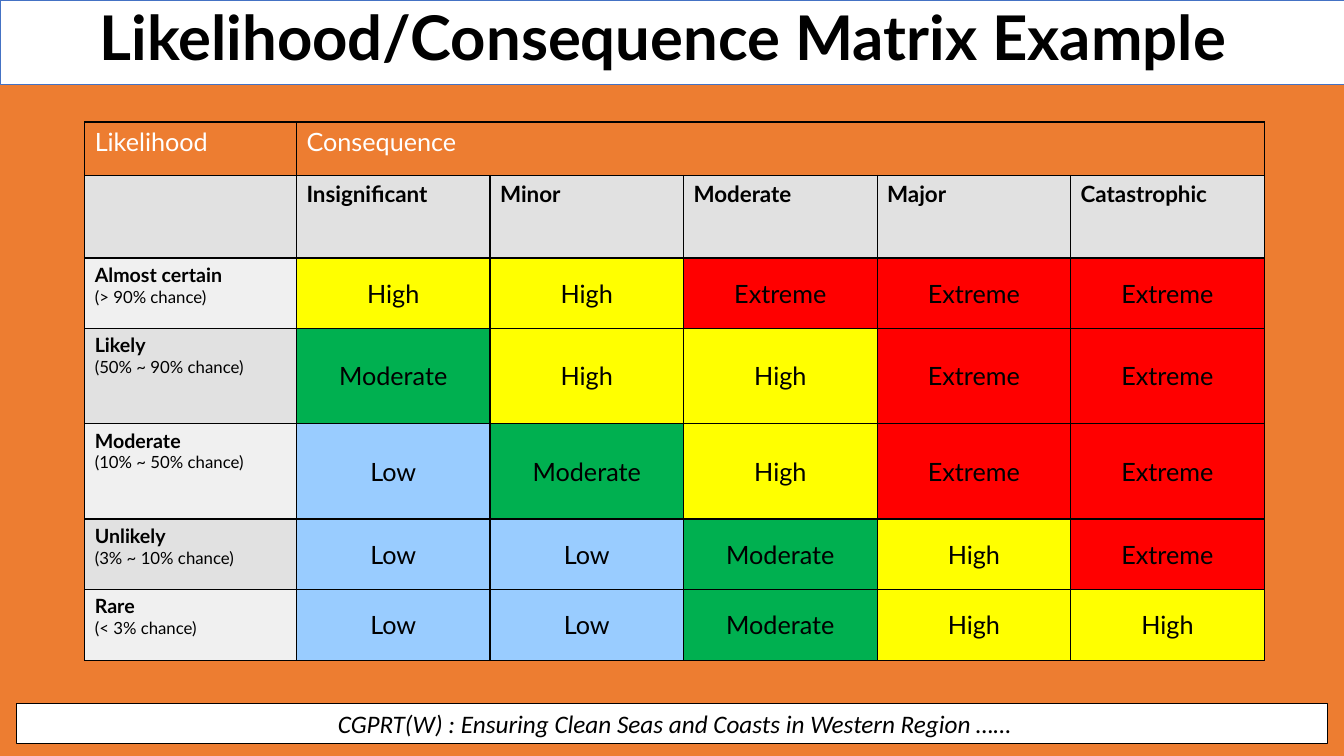
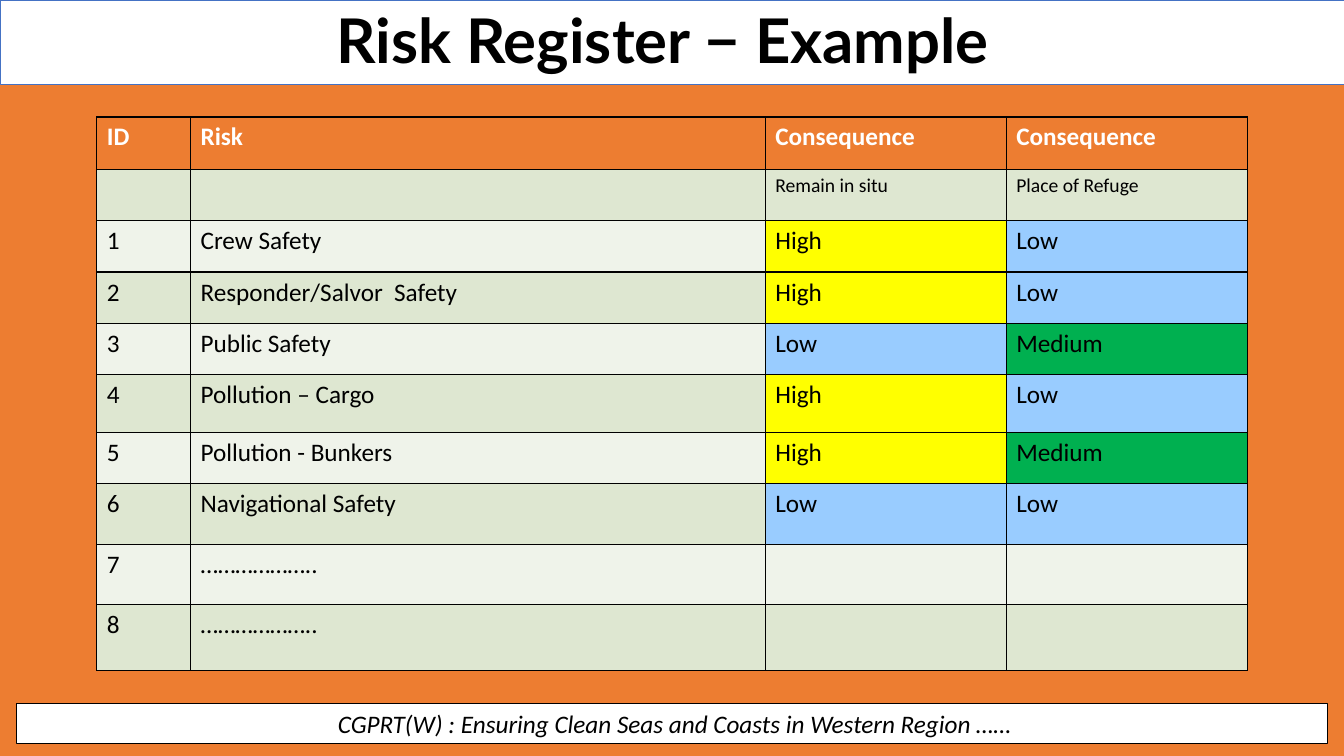
from lxml.etree import SubElement
from pptx import Presentation
from pptx.dml.color import RGBColor
from pptx.enum.shapes import MSO_SHAPE
from pptx.enum.text import MSO_ANCHOR, MSO_AUTO_SIZE, PP_ALIGN
from pptx.oxml.ns import qn
from pptx.util import Inches, Pt

SLIDE_W, SLIDE_H = 13.33, 7.5
TITLE_ONLY = 5
COLORS = {
    "orange": "ED7D31", "white": "FFFFFF", "black": "000000", "blue": "4472C4",
    "gray": "E1E1E1", "light gray": "F0F0F0",
    "green tint": "DEE7D1", "light green tint": "EFF3EA",
}
RATING_COLORS = {
    "Low": "99CCFF", "Moderate": "00B050", "Medium": "00B050",
    "High": "FFFF00", "Extreme": "FF0000",
}
FOOTER = " CGPRT(W) : Ensuring Clean Seas and Coasts in Western Region ……"

CONSEQUENCES = ["Insignificant", "Minor", "Moderate", "Major", "Catastrophic"]
LIKELIHOODS = [
    ("Almost certain", "(> 90% chance)", "High High Extreme Extreme Extreme"),
    ("Likely", "(50% ~ 90% chance)", "Moderate High High Extreme Extreme"),
    ("Moderate", "(10% ~ 50% chance)", "Low Moderate High Extreme Extreme"),
    ("Unlikely", "(3% ~ 10% chance)", "Low Low Moderate High Extreme"),
    ("Rare", "(< 3% chance)", "Low Low Moderate High High"),
]
RISKS = [
    ("Crew Safety", "High", "Low"),
    ("Responder/Salvor  Safety", "High", "Low"),
    ("Public Safety", "Low", "Medium"),
    ("Pollution – Cargo", "High", "Low"),
    ("Pollution - Bunkers", "High", "Medium"),
    ("Navigational Safety", "Low", "Low"),
    ("………………..", "", ""),
    ("………………..", "", ""),
]


def rgb(name):
    return RGBColor.from_string(COLORS.get(name) or RATING_COLORS[name])


def style(p, font, size, color="black", bold=False, italic=False):
    for r in p.runs:
        r.font.name, r.font.size = font, Pt(size)
        r.font.bold, r.font.italic = bold, italic
        r.font.color.rgb = rgb(color)


def add_band(s, left, top, width, height, line, line_width):
    """Add a white outlined rectangle."""
    sp = s.shapes.add_shape(MSO_SHAPE.RECTANGLE, *map(Inches, (left, top, width, height)))
    sp.shadow.inherit = False
    sp.fill.solid()
    sp.fill.fore_color.rgb = rgb("white")
    sp.line.color.rgb = rgb(line)
    sp.line.width = Pt(line_width)
    return sp


def add_slide(prs, title, left, top, width, height):
    """Add a slide with footer, title band and a title in the given box."""
    s = prs.slides.add_slide(prs.slide_layouts[TITLE_ONLY])
    footer = add_band(s, 0.16, 6.98, SLIDE_W - 0.32, 0.4, "black", 0.75)
    tf = footer.text_frame
    tf.text = FOOTER
    tf.vertical_anchor = MSO_ANCHOR.MIDDLE
    tf.paragraphs[0].alignment = PP_ALIGN.CENTER
    style(tf.paragraphs[0], "Calibri", 18, italic=True)

    add_band(s, 0, 0, SLIDE_W, 0.84, "blue", 0.5)
    sp = s.shapes.title
    sp.element.getparent().append(sp.element)  # bring in front of the band
    sp.left, sp.top, sp.width, sp.height = map(Inches, (left, top, width, height))
    tf = sp.text_frame
    tf.text = title
    tf.auto_size = MSO_AUTO_SIZE.NONE
    tf.vertical_anchor = MSO_ANCHOR.TOP
    p = tf.paragraphs[0]
    p.alignment, p.line_spacing = PP_ALIGN.CENTER, 0.9
    style(p, "Lato", 44, bold=True)
    return s


def add_borders(cell):
    tc_pr = cell._tc.get_or_add_tcPr()
    for side in ("lnL", "lnR", "lnT", "lnB"):
        ln = SubElement(tc_pr, qn(f"a:{side}"), w=str(Pt(1)))
        fill = SubElement(ln, qn("a:solidFill"))
        SubElement(fill, qn("a:srgbClr"), val=COLORS["black"])


def add_grid(s, left, top, cols, rows):
    """Add a bordered, unstyled table with the given column widths and row heights."""
    frame = s.shapes.add_table(len(rows), len(cols), Inches(left), Inches(top),
                               Inches(sum(cols)), Inches(sum(rows)))
    table = frame.table
    table.first_row = table.horz_banding = False
    for column, width in zip(table.columns, cols):
        column.width = Inches(width)
    for row, height in zip(table.rows, rows):
        row.height = Inches(height)
    for cell in table.iter_cells():
        add_borders(cell)
    return table


def fill_cell(cell, text, fill, font, size, color="black", bold=False):
    cell.fill.solid()
    cell.fill.fore_color.rgb = rgb(fill)
    cell.text = text
    for p in cell.text_frame.paragraphs:
        style(p, font, size, color, bold)


def add_matrix(s):
    font = "Lato"
    table = add_grid(s, 0.84, 1.21, [2.1] + [1.92] * len(CONSEQUENCES),
                     [0.53, 0.82, 0.7, 0.945, 0.945, 0.7, 0.7])
    table.cell(0, 1).merge(table.cell(0, len(CONSEQUENCES)))
    for col, text in enumerate(["Likelihood", "Consequence"]):
        fill_cell(table.cell(0, col), text, "orange", font, 18, "white")
    for col, text in enumerate([""] + CONSEQUENCES):
        fill_cell(table.cell(1, col), text, "gray", font, 16, bold=True)
    for row, (name, chance, ratings) in enumerate(LIKELIHOODS, 2):
        head = table.cell(row, 0)
        fill_cell(head, f"{name}\n{chance}", "gray" if row % 2 else "light gray", font, 12)
        style(head.text_frame.paragraphs[0], font, 14, bold=True)
        for col, rating in enumerate(ratings.split(), 1):
            cell = table.cell(row, col)
            fill_cell(cell, rating, rating, font, 18)
            cell.vertical_anchor = MSO_ANCHOR.MIDDLE
            cell.text_frame.paragraphs[0].alignment = PP_ALIGN.CENTER


def add_register(s):
    font = "Calibri"
    table = add_grid(s, 0.96, 1.16, [0.93, 5.7, 2.39, 2.39],
                     [0.52] + [0.51] * 4 + [0.57, 0.51, 0.6, 0.6, 0.65])
    for col, text in enumerate(["ID", "Risk", "Consequence", "Consequence"]):
        fill_cell(table.cell(0, col), text, "orange", font, 18, "white", True)
    for col, text in enumerate(["", "", "Remain in situ", "Place of Refuge"]):
        fill_cell(table.cell(1, col), text, "green tint", font, 14)
    for number, risk in enumerate(RISKS, 1):
        tint = "light green tint" if number % 2 else "green tint"
        for col, text in enumerate((str(number), *risk)):
            fill = text if text in RATING_COLORS else tint
            fill_cell(table.cell(number + 1, col), text, fill, font, 18)


def main():
    prs = Presentation()
    prs.slide_width, prs.slide_height = Inches(SLIDE_W), Inches(SLIDE_H)
    background = prs.slide_master.background.fill
    background.solid()
    background.fore_color.rgb = rgb("orange")
    add_matrix(add_slide(prs, "Likelihood/Consequence Matrix Example", 0.16, 0.02, 12.84, 0.71))
    add_register(add_slide(prs, "Risk Register − Example", 1.07, 0.05, 11.01, 0.79))
    prs.save("out.pptx")


if __name__ == "__main__":
    main()
